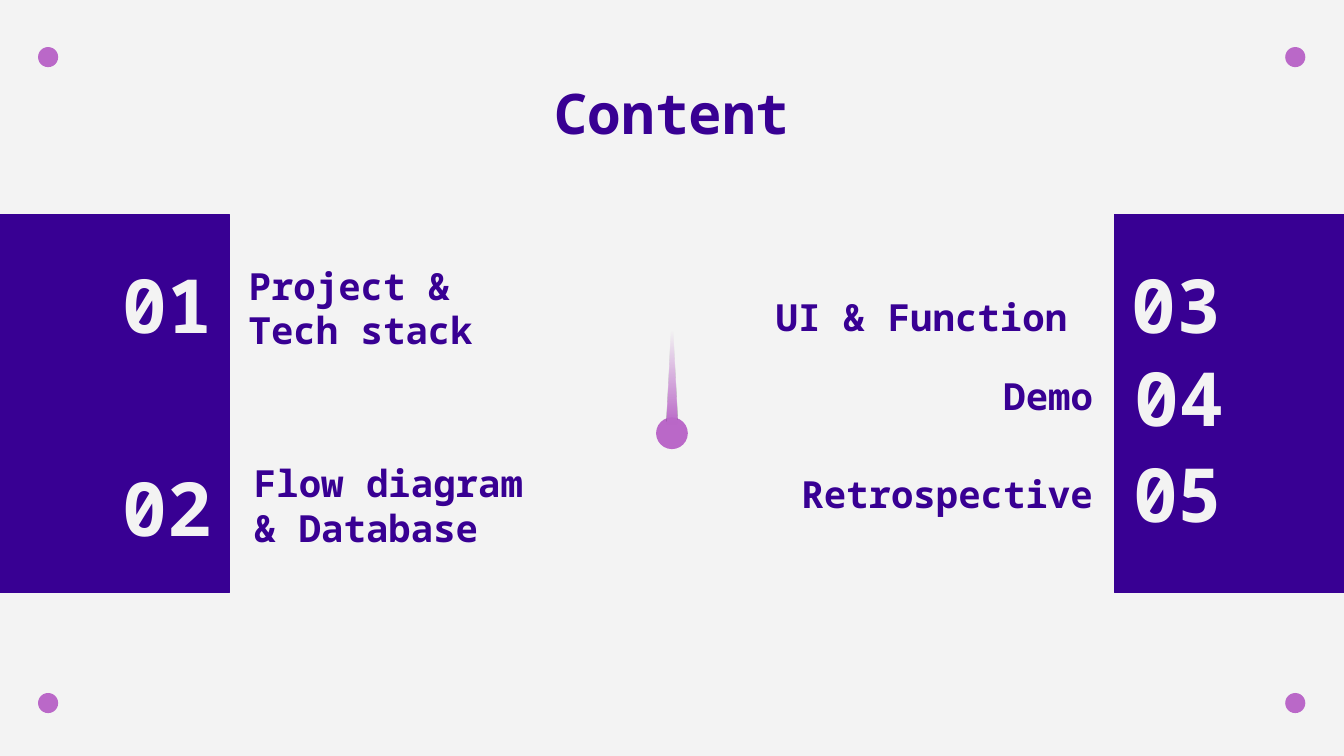
"""Build the Content agenda slide with five numbered sections."""
from dataclasses import dataclass
from itertools import product

from lxml.etree import SubElement
from pptx import Presentation
from pptx.dml.color import RGBColor
from pptx.enum.shapes import MSO_SHAPE
from pptx.enum.text import MSO_ANCHOR, MSO_AUTO_SIZE, PP_ALIGN
from pptx.oxml.ns import qn
from pptx.util import Cm, Pt


@dataclass(frozen=True)
class Theme:
    paper: RGBColor = RGBColor(0xF3, 0xF3, 0xF3)
    purple: RGBColor = RGBColor(0x38, 0x00, 0x93)
    orchid: RGBColor = RGBColor(0xBA, 0x68, 0xC8)
    font: str = "Noto Sans Mono"
    title: int = 30
    number: int = 40
    label: int = 20


theme = Theme()


def add_block(kind, left, top, width, height, color):
    block = slide.shapes.add_shape(kind, Cm(left), Cm(top), Cm(width), Cm(height))
    block.shadow.inherit = False
    block.fill.solid()
    block.fill.fore_color.rgb = color
    block.line.fill.background()
    return block


def write(holder, text, size, color, align, anchor, top_inset=0.25):
    frame = holder.text_frame
    frame.text = text
    frame.word_wrap = True
    frame.auto_size = MSO_AUTO_SIZE.NONE
    frame.vertical_anchor = anchor
    frame.margin_left = frame.margin_right = frame.margin_bottom = Cm(0.25)
    frame.margin_top = Cm(top_inset)
    paragraph = frame.paragraphs[0]
    paragraph.alignment = align
    font = paragraph.runs[0].font
    font.name, font.size, font.bold = theme.font, Pt(size), True
    font.color.rgb = color


deck = Presentation()
deck.slide_width, deck.slide_height = Cm(25.4), Cm(14.29)
slide = deck.slides.add_slide(deck.slide_layouts[5])
slide.background.fill.solid()
slide.background.fill.fore_color.rgb = theme.paper

for left, top in product((0.72, 24.29), (0.89, 13.1)):
    add_block(MSO_SHAPE.OVAL, left, top, 0.38, 0.38, theme.orchid)

for left in (0, 21.06):
    panel = add_block(MSO_SHAPE.RECTANGLE, left, 4.06, 4.34, 7.14, theme.purple)
    panel.line.color.rgb = theme.purple
    panel.line.width = Pt(0.75)

heading = slide.shapes.title
heading.left, heading.top = Cm(1.98), Cm(1.5)
heading.width, heading.height = Cm(21.44), Cm(1.5)
write(heading, "Content", theme.title, theme.purple, PP_ALIGN.CENTER, MSO_ANCHOR.BOTTOM)

sections = [
    ("Project & Tech stack", 1.98, 5.03, 4.45, 5.21, 6.2, PP_ALIGN.LEFT),
    ("Flow diagram & Database", 1.98, 8.86, 4.55, 8.94, 6.2, PP_ALIGN.LEFT),
    ("UI & Function ", 21.06, 5.03, 14.02, 4.95, 6.83, PP_ALIGN.RIGHT),
    ("Demo", 21.11, 6.78, 14.71, 6.45, 6.2, PP_ALIGN.RIGHT),
    ("Retrospective", 21.08, 8.61, 14.71, 8.31, 6.2, PP_ALIGN.RIGHT),
]
for index, section in enumerate(sections, start=1):
    topic, number_left, number_top, left, top, width, align = section
    number = add_block(MSO_SHAPE.RECTANGLE, number_left, number_top, 2.36, 1.42, theme.purple)
    write(number, f"{index:02d}", theme.number, theme.paper, PP_ALIGN.CENTER, MSO_ANCHOR.MIDDLE)
    label = slide.shapes.add_textbox(Cm(left), Cm(top), Cm(width), Cm(1.7))
    write(label, topic, theme.label, theme.purple, align, MSO_ANCHOR.BOTTOM, top_inset=0)

add_block(MSO_SHAPE.OVAL, 12.4, 7.89, 0.6, 0.6, theme.orchid)
needle = add_block(MSO_SHAPE.ISOSCELES_TRIANGLE, 12.59, 5.82, 0.22, 2.21, theme.orchid)
needle.fill.gradient()
needle.fill.gradient_angle = 90
for stop, position in zip(needle.fill.gradient_stops, (0, 0.8)):
    stop.position = position
    stop.color.rgb = theme.orchid
faded = needle.element.spPr.findall(".//" + qn("a:srgbClr"))[-1]
SubElement(faded, qn("a:alpha"), val="0")

deck.save("out.pptx")
